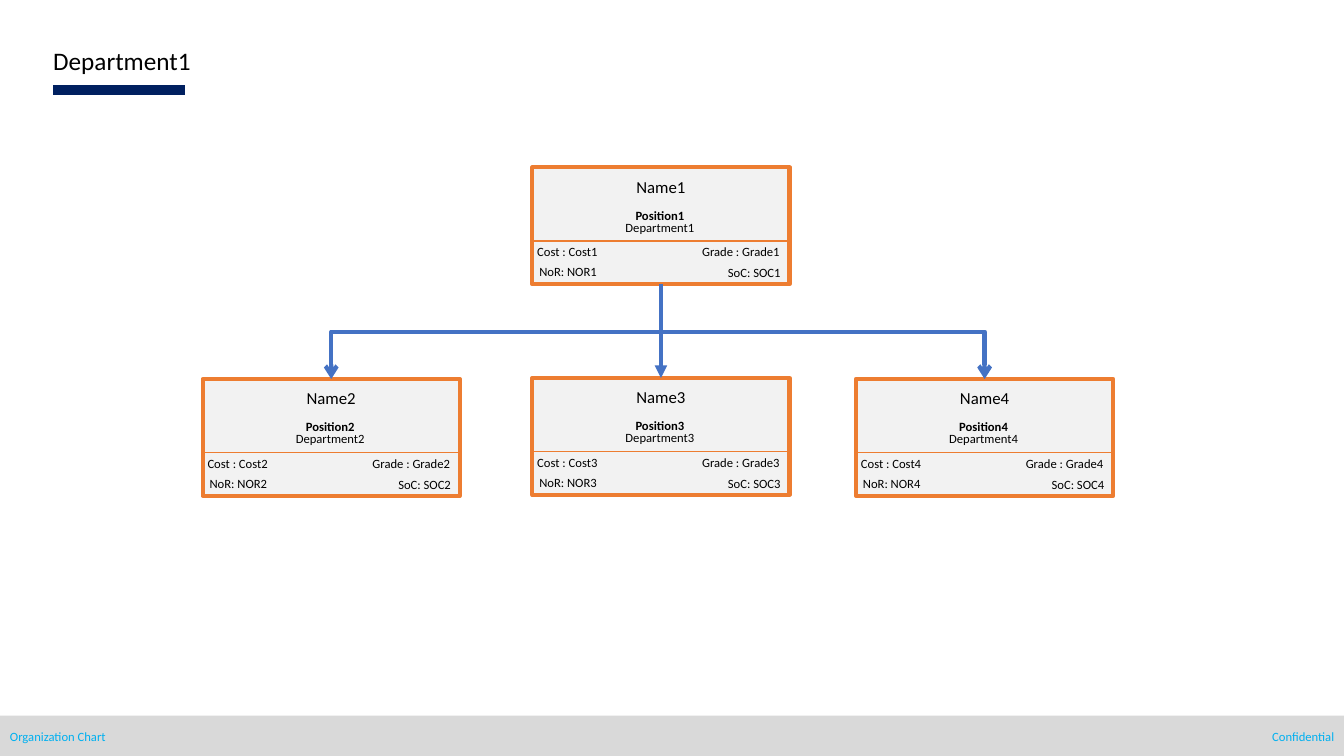
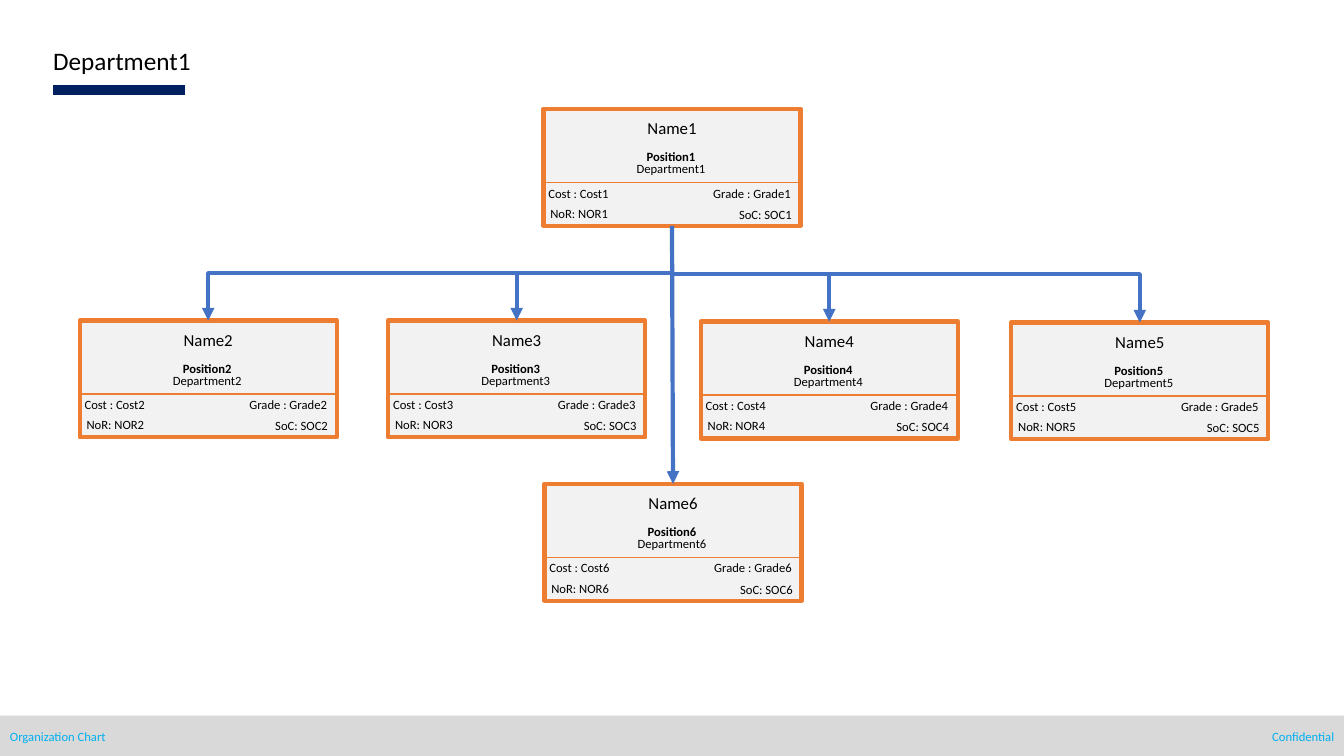
"""Build two organization chart slides made of staff cards and arrows."""
from dataclasses import dataclass
from lxml import etree
from pptx import Presentation
from pptx.dml.color import RGBColor
from pptx.enum import shapes, text
from pptx.oxml.ns import qn
from pptx.shapes.autoshape import Shape
from pptx.shapes.connector import Connector
from pptx.slide import Slide
from pptx.util import Emu, Pt

SCALE = 9144
WIDE, HIGH = 1333, 750
LEFT, MID, RIGHT = text.PP_ALIGN.LEFT, text.PP_ALIGN.CENTER, text.PP_ALIGN.RIGHT


@dataclass(frozen=True)
class Theme:
    """Colours, font, type sizes and line widths."""
    ink: str = "000000"
    navy: str = "002060"
    band: str = "D9D9D9"
    note: str = "00B0F0"
    face: str = "F2F2F2"
    edge: str = "ED7D31"
    link: str = "4472C4"
    font: str = "Calibri"
    head: int = 18
    name: int = 12
    body: int = 9
    bar: int = 7
    thick: int = 3
    thin: int = 1


@dataclass(frozen=True)
class Row:
    """A line of text placed relative to its card."""
    label: str
    x: int
    y: int
    w: int
    h: int = 25
    size: int = Theme.body
    align: text.PP_ALIGN = MID
    bold: bool = False


@dataclass(frozen=True)
class Card:
    """A person's number and the corner of the card."""
    num: int
    x: int
    y: int


@dataclass(frozen=True)
class Chart:
    """A lead card, the cards below it and the elbow arrowhead."""
    lead: Card
    team: tuple[Card, ...]
    tip: str


THEME = Theme()
CARD_W, CARD_H, RULE_Y = 255, 116, 73
ROWS = (
    Row("Name{}", 0, 4, 255, 30, THEME.name),
    Row("Position{}", 0, 35, 253, bold=True),
    Row("Department{}", 0, 47, 253),
    Row("Cost : Cost{}", -5, 71, 171, align=LEFT),
    Row("Grade : Grade{}", 133, 71, 122, align=RIGHT),
    Row("NoR: NOR{}", -3, 91, 79, align=LEFT),
    Row("SoC: SOC{}", 154, 92, 102, align=RIGHT),
)
CHARTS = (
    Chart(Card(1, 528, 166),
          (Card(2, 201, 376), Card(3, 528, 375), Card(4, 849, 376)), "arrow"),
    Chart(Card(1, 539, 108),
          (Card(2, 79, 318), Card(3, 385, 318), Card(4, 695, 319),
           Card(5, 1003, 320), Card(6, 540, 480)), "triangle"),
)


def px(count: int) -> Emu:
    """Turn pixels into EMU."""
    return Emu(count * SCALE)


def rgb(code: str) -> RGBColor:
    """Turn a hex code into a colour."""
    return RGBColor.from_string(code)


def write(slide: Slide, row: Row, words: str, x: int = 0, y: int = 0,
          color: str = THEME.ink) -> None:
    """Add a row of text, shifted by x and y."""
    box = slide.shapes.add_textbox(px(x + row.x), px(y + row.y), px(row.w), px(row.h))
    frame = box.text_frame
    frame.word_wrap = True
    frame.auto_size = text.MSO_AUTO_SIZE.SHAPE_TO_FIT_TEXT
    para = frame.paragraphs[0]
    para.text = words
    para.alignment = row.align
    font = para.font
    font.name, font.size, font.bold = THEME.font, Pt(row.size), row.bold
    font.color.rgb = rgb(color)


def block(slide: Slide, x: int, y: int, w: int, h: int, fill: str,
          edge: str | None = None) -> Shape:
    """Add a filled rectangle with an optional edge."""
    rect = slide.shapes.add_shape(shapes.MSO_SHAPE.RECTANGLE, px(x), px(y), px(w), px(h))
    rect.shadow.inherit = False
    rect.fill.solid()
    rect.fill.fore_color.rgb = rgb(fill)
    if edge:
        rect.line.color.rgb = rgb(edge)
        rect.line.width = Pt(THEME.thick)
    else:
        rect.line.fill.background()
    return rect


def style(line: Connector, color: str, width: int, tip: str = "") -> None:
    """Set a connector's colour, width and arrowhead, without a shadow."""
    line.line.color.rgb = rgb(color)
    line.line.width = Pt(width)
    props = line.element.spPr
    if tip:
        etree.SubElement(props.find(qn("a:ln")), qn("a:tailEnd"), type=tip)
    etree.SubElement(props, qn("a:effectLst"))


def rule(slide: Slide, x: int, y: int, w: int, color: str, width: int) -> None:
    """Add a level line."""
    line = slide.shapes.add_connector(
        shapes.MSO_CONNECTOR.STRAIGHT, px(x), px(y), px(x + w), px(y))
    style(line, color, width)


def draw(slide: Slide, card: Card) -> Shape:
    """Draw a staff card and return its box."""
    box = block(slide, card.x, card.y, CARD_W, CARD_H, THEME.face, THEME.edge)
    rule(slide, card.x, card.y + RULE_Y, CARD_W, THEME.edge, THEME.thin)
    for row in ROWS:
        write(slide, row, row.label.format(card.num), card.x, card.y)
    return box


def drop(slide: Slide, top: Shape, low: Shape) -> None:
    """Join two boxes with a straight arrow."""
    line = slide.shapes.add_connector(shapes.MSO_CONNECTOR.STRAIGHT, 0, 0, 0, 0)
    line.begin_connect(top, 2)
    line.end_connect(low, 0)
    style(line, THEME.link, THEME.thick, "triangle")


def bend(slide: Slide, top: Shape, low: Shape, tip: str) -> None:
    """Join two boxes with an elbow arrow turned to leave downwards."""
    x1, y1 = top.left + top.width // 2, top.top + top.height
    x2, y2 = low.left + low.width // 2, low.top
    mid_x, mid_y = (x1 + x2) // 2, (y1 + y2) // 2
    half_w, half_h = (y2 - y1) // 2, abs(x2 - x1) // 2
    side = 1 if x2 < x1 else -1
    line = slide.shapes.add_connector(
        shapes.MSO_CONNECTOR.ELBOW, Emu(mid_x - side * half_w), Emu(mid_y - half_h),
        Emu(mid_x + side * half_w), Emu(mid_y + half_h))
    turn = 90 if side > 0 else 270
    line.element.spPr.find(qn("a:xfrm")).set("rot", str(turn * 60000))
    style(line, THEME.link, THEME.thick, tip)


def frame(slide: Slide) -> None:
    """Draw the title, its bar and the footer."""
    rule(slide, 53, 89, 131, THEME.navy, THEME.bar)
    block(slide, 0, 710, WIDE, 41, THEME.band)
    write(slide, Row("", 0, 718, 308, align=LEFT), "Organization Chart", color=THEME.note)
    write(slide, Row("", WIDE - 308, 718, 308, align=RIGHT), "Confidential", color=THEME.note)
    write(slide, Row("", 43, 40, 530, 41, THEME.head, LEFT), "Department1")


def plot(slide: Slide, chart: Chart) -> None:
    """Draw the cards and join the lead to the team."""
    lead = draw(slide, chart.lead)
    for card in chart.team:
        box = draw(slide, card)
        if abs(card.x - chart.lead.x) <= 1:
            drop(slide, lead, box)
        else:
            bend(slide, lead, box, chart.tip)


def main() -> None:
    """Build and save the deck."""
    deck = Presentation()
    deck.slide_width, deck.slide_height = px(WIDE), px(HIGH)
    for chart in CHARTS:
        slide = deck.slides.add_slide(deck.slide_layouts[6])
        frame(slide)
        plot(slide, chart)
    deck.save("out.pptx")


if __name__ == "__main__":
    main()
